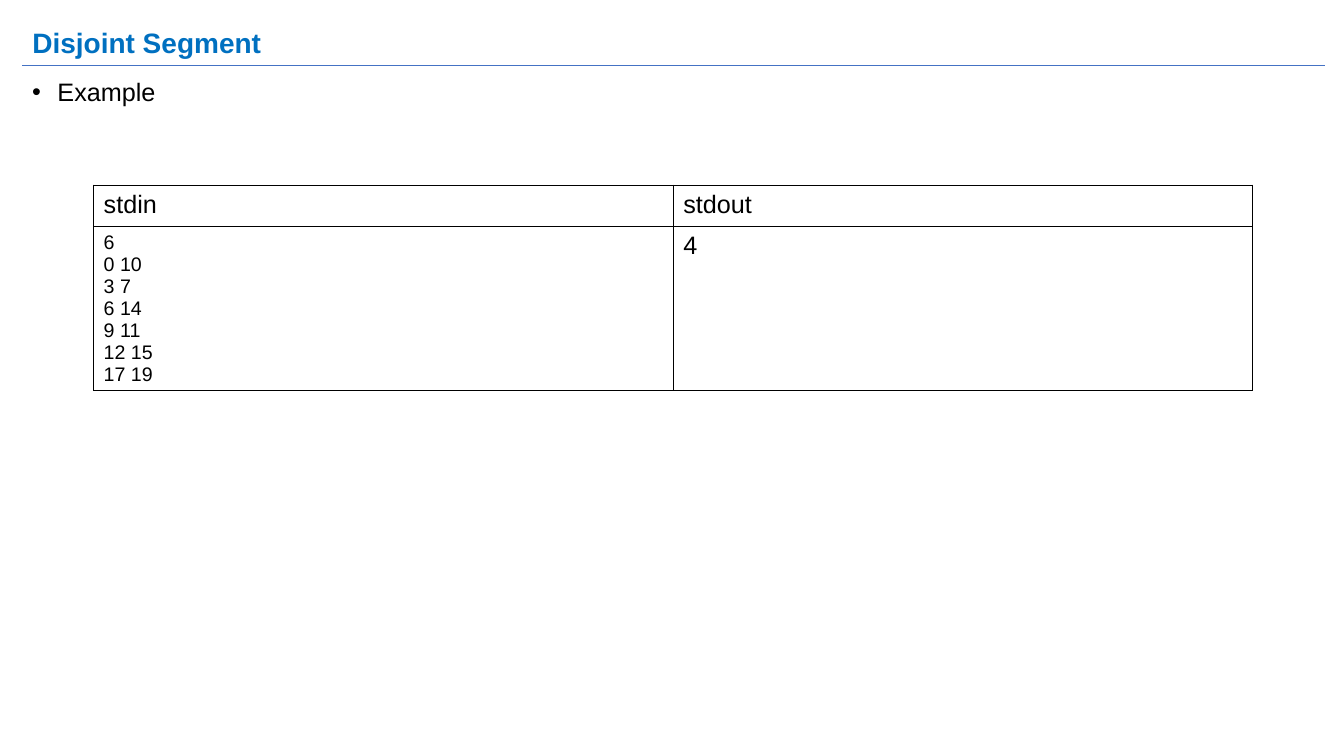
from pptx import Presentation
from pptx.dml.color import RGBColor as RGB
from pptx.enum.shapes import MSO_CONNECTOR as Link
from pptx.enum.text import MSO_ANCHOR as Anchor, PP_ALIGN as Align
from pptx.oxml import parse_xml
from pptx.oxml.ns import nsdecls
from pptx.util import Cm, Pt

HUES = {"title": "0070C0", "rule": "4472C4", "text": "000000",
        "cell": "FFFFFF", "edge": "000000"}
LEFT, WIDE = Cm(0.56), Cm(32.82)


def write(frame, text, size, hue="text", bold=False, gap=1.0):
    frame.text = text
    style = {"name": "Arial", "size": Pt(size), "bold": bold}
    for para in frame.paragraphs:
        para.alignment = Align.LEFT
        para.line_spacing = gap
        for run in para.runs:
            for key, val in style.items():
                setattr(run.font, key, val)
            run.font.color.rgb = RGB.from_string(HUES[hue])


deck = Presentation()
deck.slide_width, deck.slide_height = Cm(33.87), Cm(19.05)
slide = deck.slides.add_slide(deck.slide_layouts[5])

# Title
title = slide.shapes.title
title.left, title.top, title.width, title.height = LEFT, Cm(0.38), WIDE, Cm(1.5)
write(title.text_frame, "Disjoint Segment", 20, "title", True, 0.9)
title.text_frame.vertical_anchor = Anchor.MIDDLE

# Table of input and output
rows = [[("stdin", 18), ("stdout", 18)],
        [("6\n0 10\n3 7\n6 14\n9 11\n12 15\n17 19", 14), ("4", 18)]]
frame = slide.shapes.add_table(2, 2, Cm(2.36), Cm(4.67), Cm(29.21), Cm(5.18))
table = frame.table
table.first_row = table.horz_banding = False
for row, high in zip(table.rows, (1.04, 4.14)):
    row.height = Cm(high)
for r, row in enumerate(rows):
    for c, (text, size) in enumerate(row):
        cell = table.cell(r, c)
        write(cell.text_frame, text, size)
        props = cell._tc.get_or_add_tcPr()
        for side in "LRTB":
            props.append(parse_xml(
                f'<a:ln{side} {nsdecls("a")} w="{Pt(0.96)}"><a:solidFill>'
                f'<a:srgbClr val="{HUES["edge"]}"/></a:solidFill></a:ln{side}>'))
        cell.fill.solid()
        cell.fill.fore_color.rgb = RGB.from_string(HUES["cell"])

# Rule under the title
y = Cm(1.66)
rule = slide.shapes.add_connector(Link.STRAIGHT, LEFT, y, LEFT + WIDE, y)
rule.line.width = Pt(0.75)
rule.line.color.rgb = RGB.from_string(HUES["rule"])
rule._element.spPr.append(parse_xml(f'<a:effectLst {nsdecls("a")}/>'))

# Bullet
box = slide.shapes.add_textbox(LEFT, Cm(1.88), Cm(9.63), Cm(1.5))
box.text_frame.word_wrap = True
write(box.text_frame, "Example", 18, gap=0.9)
props = box.text_frame.paragraphs[0]._p.get_or_add_pPr()
props.set("marL", str(Cm(0.64)))
props.set("indent", str(-Cm(0.64)))
for mark in (f'<a:buClr {nsdecls("a")}><a:srgbClr val="{HUES["text"]}"/></a:buClr>',
             f'<a:buFont {nsdecls("a")} typeface="Arial"/>',
             f'<a:buChar {nsdecls("a")} char="•"/>'):
    props.append(parse_xml(mark))

deck.save("out.pptx")
